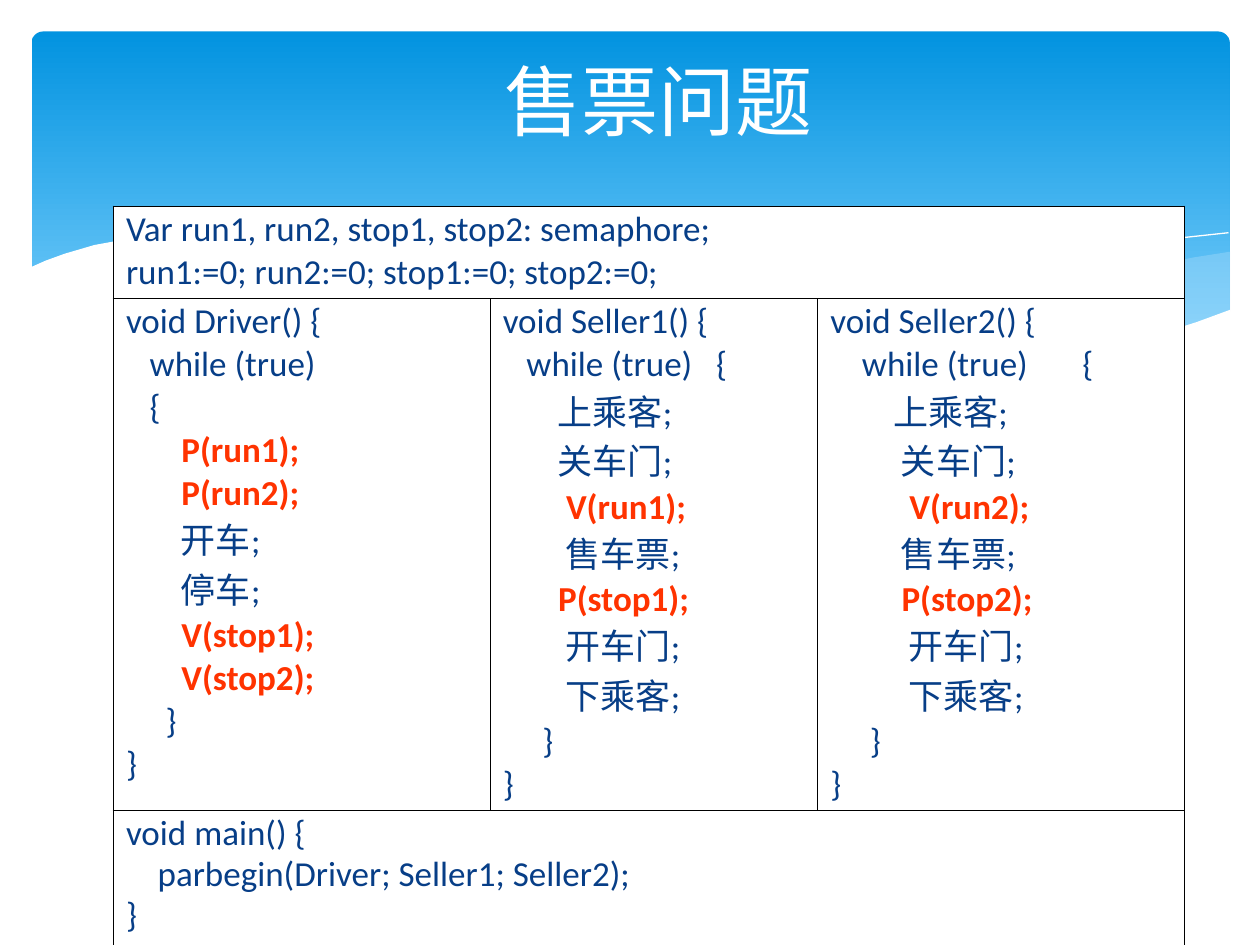
from lxml.etree import SubElement
from pptx import Presentation
from pptx.dml.color import RGBColor
from pptx.enum.shapes import MSO_SHAPE
from pptx.enum.text import MSO_ANCHOR, PP_ALIGN
from pptx.oxml.ns import qn
from pptx.util import Pt

COLORS = {"top": "0293E0", "bottom": "83D3FE", "wave": "C6E7FC", "white": "FFFFFF",
          "code": "073E87", "semaphore": "FF3300", "border": "000000"}
FONT = "Calibri"


def rgb(name):
    return RGBColor.from_string(COLORS[name])


def add_path(points, fill=None, alpha=None):
    builder = s.shapes.build_freeform(*points[0], scale=Pt(1))
    builder.add_line_segments(points[1:], close=fill is not None)
    shape = builder.convert_to_shape()
    shape.shadow.inherit = False
    if fill is None:
        shape.fill.background()
        shape.line.color.rgb = rgb("white")
        shape.line.width = Pt(0)
        return
    shape.fill.solid()
    shape.fill.fore_color.rgb = rgb(fill)
    shape.line.fill.background()
    if alpha:
        color = shape.element.spPr.find(qn("a:solidFill"))[0]
        SubElement(color, qn("a:alpha"), val=str(alpha * 1000))


prs = Presentation()
prs.slide_width, prs.slide_height = Pt(720), Pt(540)
s = prs.slides.add_slide(prs.slide_layouts[5])

banner = s.shapes.add_shape(MSO_SHAPE.ROUNDED_RECTANGLE, Pt(18), Pt(18), Pt(684.7), Pt(194.4))
banner.adjustments[0] = 0.034
banner.shadow.inherit = False
banner.line.fill.background()
banner.fill.gradient()
banner.fill.gradient_angle = 270
for stop, name in zip(banner.fill.gradient_stops, ("top", "bottom")):
    stop.color.rgb = rgb(name)

right_wave = [(702, 144), (682.6, 146.9), (652.3, 153.4), (619.9, 160.6), (579.6, 170.6),
              (542.2, 178.6), (508.3, 185), (475.9, 190.8), (507.6, 195.1), (536.4, 198),
              (562.3, 199.4), (586.1, 200.2), (614.9, 198.7), (640.1, 195.8), (663.1, 190.8),
              (683.3, 185), (702.7, 177.8), (702.7, 144)]
middle_wave = [(643, 196.6), (602.6, 190.8), (558, 182.9), (508.3, 172.8), (452.9, 159.8),
               (420.5, 151.9), (389.5, 146.2), (360.7, 141.1), (334.1, 137.5), (302.4, 134.6),
               (273.6, 133.2), (247.7, 133.9), (225.4, 135.4), (205.9, 137.5), (232.6, 141.1),
               (260.6, 146.2), (290.9, 151.9), (323.3, 159.8), (381.6, 172.8), (432.7, 183.6),
               (478.8, 191.5), (519.8, 197.3), (556.6, 200.2), (589, 200.9), (617, 199.4)]
left_curve = [(222.5, 140.4), (236.2, 138.2), (254.2, 136.1), (278.6, 134.6), (311.8, 134.6),
              (352.1, 136.8), (400.3, 141.8), (457.9, 149.8), (523.4, 162.7), (598.3, 180.7),
              (653, 195.8)]
right_curve = [(441.4, 185), (469.4, 177.1), (500.4, 169.2), (538.6, 160.6), (580.3, 151.2),
               (623.5, 143.3), (665.3, 136.8), (702, 133.2)]
white_wave = [(703.4, 177.1), (684, 184.3), (662.4, 190.8), (638.6, 195.1), (612, 198),
              (582.5, 199.4), (548, 198), (509.8, 194.4), (465.8, 188.6), (416.9, 180),
              (362.2, 167.8), (301, 153.4), (262.8, 145.4), (226.8, 139.7), (195.1, 135.4),
              (165.6, 133.2), (139, 132.5), (105.1, 133.2), (76.3, 136.1), (54, 140.4),
              (37.4, 144.7), (25.9, 149), (16.6, 153.4), (16.6, 236.9), (703.4, 236.9)]
add_path(right_wave, "wave", 29)
add_path(middle_wave, "wave", 40)
add_path(left_curve)
add_path(right_curve)
add_path(white_wave, "white")

title = s.shapes.title
title.element.getparent().append(title.element)
title.left, title.top, title.width, title.height = Pt(70.6), Pt(37.4), Pt(612), Pt(39.6)
tf = title.text_frame
tf.text = "售票问题"
tf.vertical_anchor = MSO_ANCHOR.MIDDLE
p = tf.paragraphs[0]
p.alignment = PP_ALIGN.CENTER
r = p.runs[0]
r.font.name, r.font.size = FONT, Pt(44)
r.font.color.rgb = rgb("white")

declarations = """Var run1, run2, stop1, stop2: semaphore;
run1:=0; run2:=0; stop1:=0; stop2:=0;"""
driver = """void Driver() {
   while (true)
   {
       P(run1);
       P(run2);
       开车;
       停车;
       V(stop1);
       V(stop2);
     }
}"""
seller1 = """void Seller1() {
   while (true)   {
       上乘客;
       关车门;
        V(run1);
        售车票;
       P(stop1);
        开车门;
        下乘客;
     }
}"""
seller2 = """void Seller2() {
    while (true) \t{
        上乘客;
         关车门;
          V(run2);
         售车票;
         P(stop2);
          开车门;
          下乘客;
     }
}"""
main_program = """void main() {
    parbegin(Driver; Seller1; Seller2);
}"""
rows = [[declarations], [driver, seller1, seller2], [main_program]]
row_heights = [51.8, 269.3, 80.6]
col_widths = [215.3, 187.2, 209.5]
row_gaps = [3.7, 3.7, 2.5]

table = s.shapes.add_table(3, 3, Pt(64.8), Pt(118), Pt(sum(col_widths)), Pt(sum(row_heights))).table
table.first_row = table.horz_banding = False
for column, width in zip(table.columns, col_widths):
    column.width = Pt(width)
for row, height in zip(table.rows, row_heights):
    row.height = Pt(height)

for i in range(3):
    for j in range(3):
        cell = table.cell(i, j)
        tcPr = cell._tc.get_or_add_tcPr()
        outer = {"lnL": j == 0, "lnR": j == 2, "lnT": i == 0, "lnB": i == 2}
        for side, is_outer in outer.items():
            ln = SubElement(tcPr, qn("a:" + side), w=str(Pt(1.08 if is_outer else 0.45)))
            SubElement(SubElement(ln, qn("a:solidFill")), qn("a:srgbClr"), val=COLORS["border"])
        cell.fill.solid()
        cell.fill.fore_color.rgb = rgb("white")

for i, blocks in enumerate(rows):
    if len(blocks) == 1:
        table.cell(i, 0).merge(table.cell(i, 2))
    for j, code in enumerate(blocks):
        tf = table.cell(i, j).text_frame
        tf.text = code
        for n, p in enumerate(tf.paragraphs):
            p.line_spacing = 0.85
            p.space_before = Pt(row_gaps[i] if n else 0)
            r = p.runs[0]
            is_semaphore = r.text.strip().startswith(("P(", "V("))
            r.font.name, r.font.size, r.font.bold = FONT, Pt(20), is_semaphore
            r.font.color.rgb = rgb("semaphore" if is_semaphore else "code")

prs.save("out.pptx")
